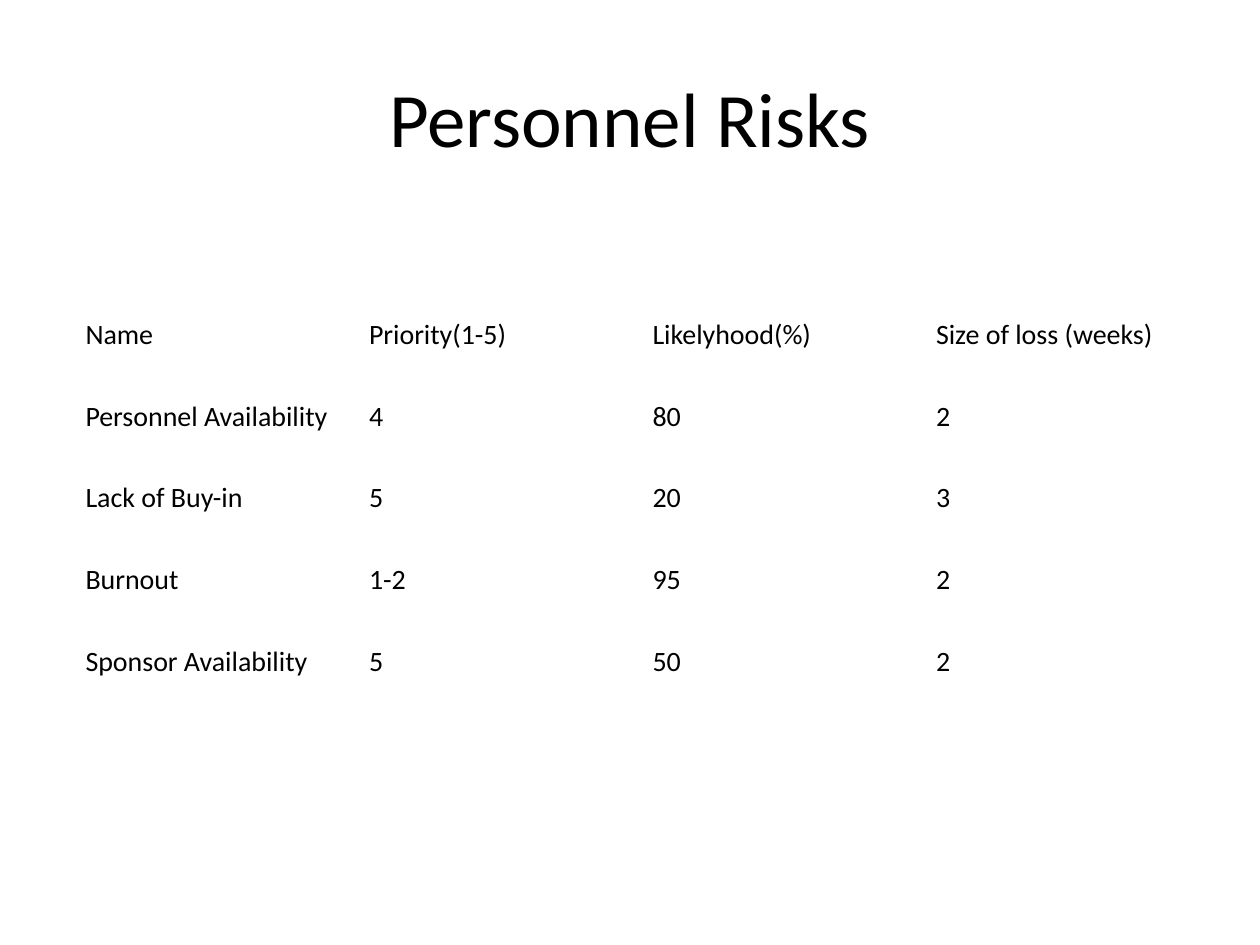
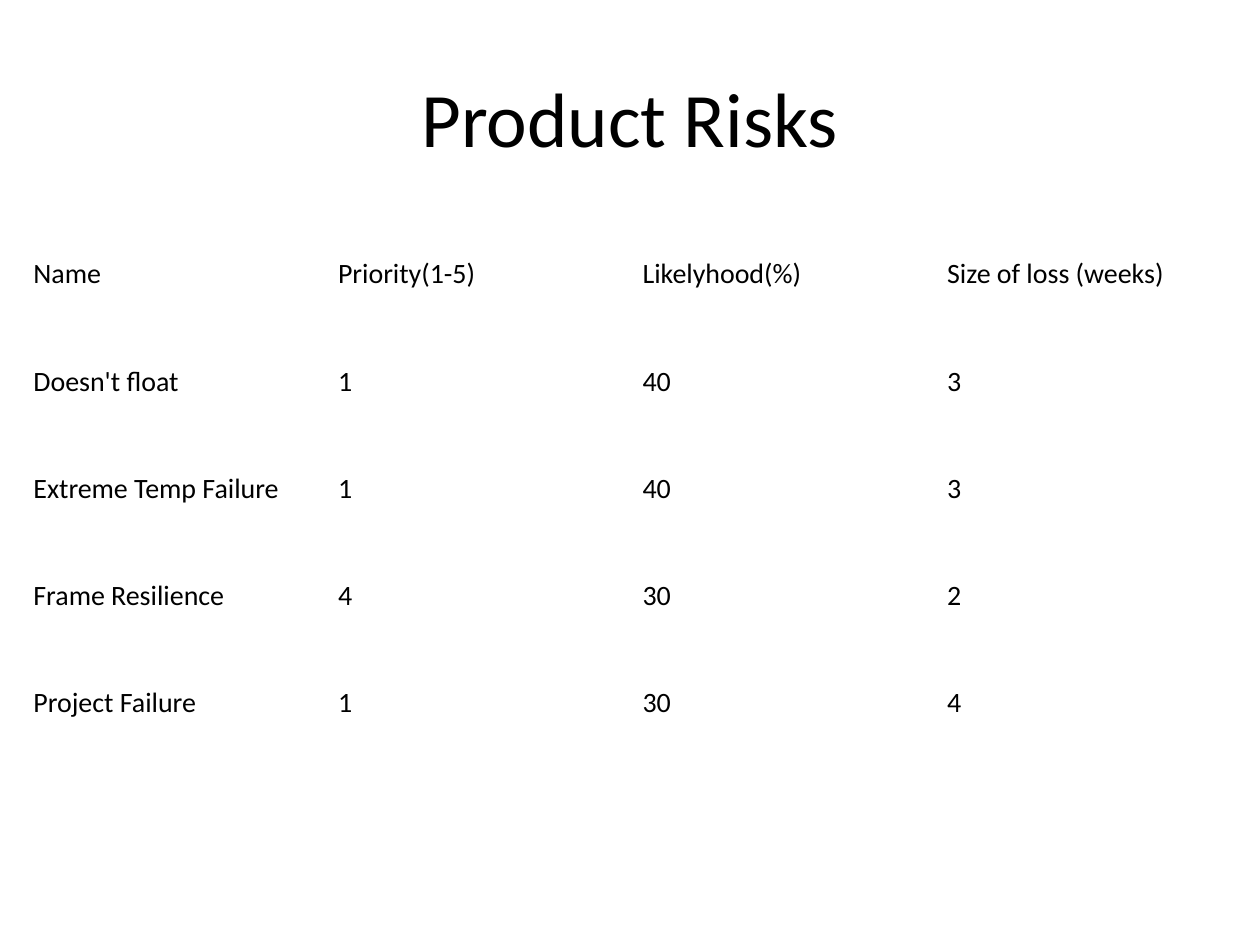
from pptx import Presentation
from pptx import util as u
from pptx.dml.color import RGBColor
from pptx.enum import text

BLACK = RGBColor(0, 0, 0)
WHITE = RGBColor(255, 255, 255)
HEAD = ("Name", "Priority(1-5)", "Likelyhood(%)", "Size of loss (weeks)")
STAFF = (
    ("Personnel Availability", "4", "80", "2"),
    ("Lack of Buy-in", "5", "20", "3"),
    ("Burnout", "1-2", "95", "2"),
    ("Sponsor Availability", "5", "50", "2"),
)
GOODS = (
    ("Doesn't float", "1", "40", "3"),
    ("Extreme Temp Failure", "1", "40", "3"),
    ("Frame Resilience", "4", "30", "2"),
    ("Project Failure", "1", "30", "4"),
)


class Deck:
    """Hold the shared style and the current slide, and add elements to it."""

    font = {"name": "Calibri", "bold": False}
    frame = {"word_wrap": True, "vertical_anchor": text.MSO_ANCHOR.MIDDLE}
    plain = {"first_row": False, "horz_banding": False}

    def __init__(self):
        self.prs = Presentation()
        self.put(self.prs, {"slide_width": u.Cm(25.4), "slide_height": u.Cm(19.05)})
        self.slide = None

    def put(self, item, values):
        for name, value in values.items():
            setattr(item, name, value)

    def label(self, frame, words, size, align):
        self.put(frame, self.frame)
        para = frame.paragraphs[0]
        para.alignment = align
        run = para.add_run()
        run.text = words
        self.put(run.font, {**self.font, "size": u.Pt(size)})
        run.font.color.rgb = BLACK

    def page(self, title):
        self.slide = self.prs.slides.add_slide(self.prs.slide_layouts[6])
        fill = self.slide.background.fill
        fill.solid()
        fill.fore_color.rgb = WHITE
        box = self.slide.shapes.add_textbox(
            u.Cm(1.27), u.Cm(0.76), u.Cm(22.86), u.Cm(3.18))
        self.label(box.text_frame, title, 44, text.PP_ALIGN.CENTER)

    def table(self, rows, left, top, width, step):
        table = self.slide.shapes.add_table(
            len(rows), len(rows[0]), u.Cm(left), u.Cm(top),
            u.Cm(width), u.Cm(step * len(rows))).table
        self.put(table, self.plain)
        for r, row in enumerate(rows):
            for c, words in enumerate(row):
                cell = table.cell(r, c)
                cell.fill.background()
                cell.vertical_anchor = text.MSO_ANCHOR.MIDDLE
                self.label(cell.text_frame, words, 16, text.PP_ALIGN.LEFT)


def main():
    deck = Deck()
    deck.page("Personnel Risks")
    deck.table((HEAD, *STAFF), 1.47, 5.92, 22.86, 1.65)
    deck.page("Product Risks")
    deck.table((HEAD, *GOODS), 0.42, 4.45, 24.56, 2.16)
    deck.prs.save("out.pptx")


if __name__ == "__main__":
    main()
